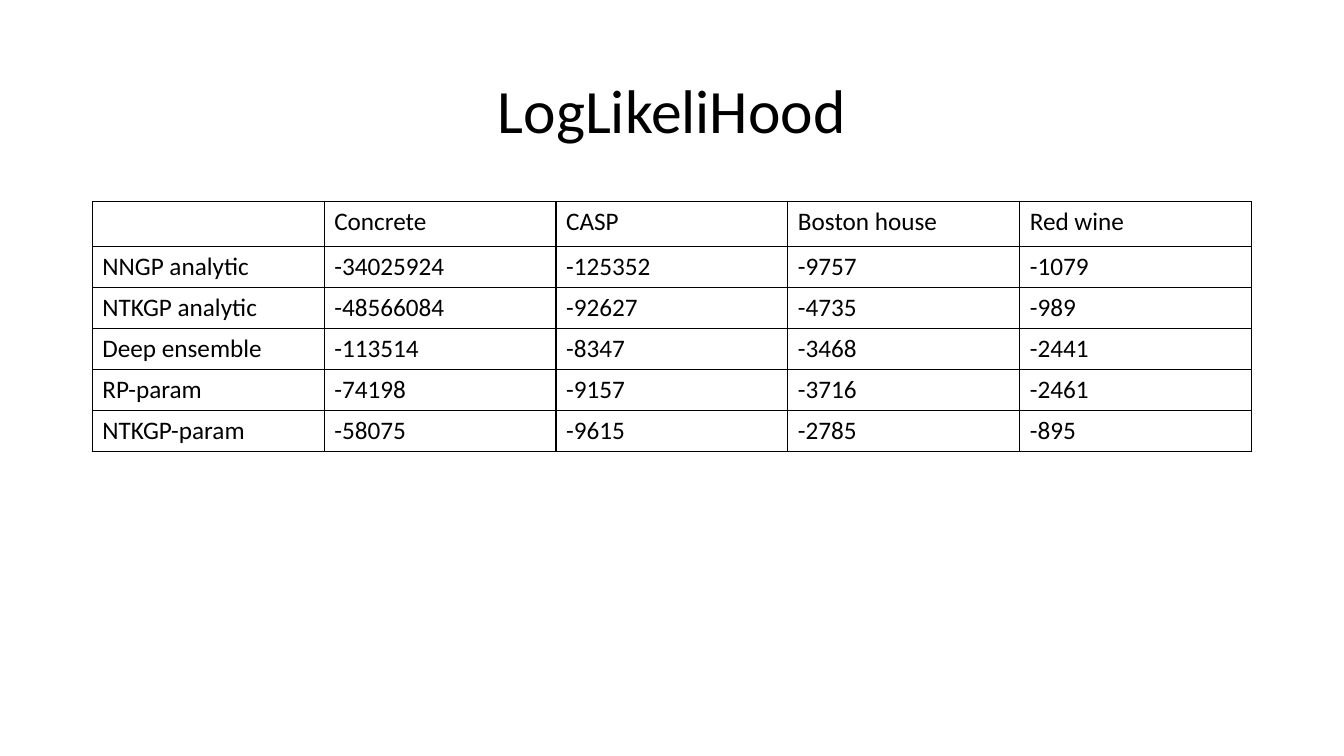
"""Build a slide with a table of log likelihoods by method and data set."""
from lxml.etree import SubElement
from pptx import Presentation
from pptx.dml.color import RGBColor
from pptx.enum.text import MSO_ANCHOR, PP_ALIGN
from pptx.oxml.ns import qn
from pptx.util import Pt

HEADING = "LogLikeliHood"
SCORES = [
    ("", "Concrete", "CASP", "Boston house", "Red wine"),
    ("NNGP analytic", "-34025924", "-125352", "-9757", "-1079"),
    ("NTKGP analytic", "-48566084", "-92627", "-4735", "-989"),
    ("Deep ensemble", "-113514", "-8347", "-3468", "-2441"),
    ("RP-param", "-74198", "-9157", "-3716", "-2461"),
    ("NTKGP-param", "-58075", "-9615", "-2785", "-895"),
]

FONT = "Calibri"
BLACK = RGBColor(0, 0, 0)
WHITE = RGBColor(255, 255, 255)
LEFT, WIDTH = 66, 828
HEADING_TOP, HEADING_HEIGHT = 28.75, 104.4
SCORES_TOP, HEADER_HEIGHT, ROW_HEIGHT = 144, 32.2, 29.3


def style_text(paragraph, size):
    for run in paragraph.runs:
        run.font.name = FONT
        run.font.size = Pt(size)
        run.font.color.rgb = BLACK


def add_borders(cell):
    properties = cell._tc.get_or_add_tcPr()
    for side in ("a:lnL", "a:lnR", "a:lnT", "a:lnB"):
        border = SubElement(properties, qn(side), w=str(Pt(1)))
        fill = SubElement(border, qn("a:solidFill"))
        SubElement(fill, qn("a:srgbClr"), val=str(BLACK))


def add_heading(slide):
    heading = slide.shapes.add_textbox(
        Pt(LEFT), Pt(HEADING_TOP), Pt(WIDTH), Pt(HEADING_HEIGHT))
    frame = heading.text_frame
    frame.word_wrap = True
    frame.vertical_anchor = MSO_ANCHOR.MIDDLE
    frame.text = HEADING
    paragraph = frame.paragraphs[0]
    paragraph.alignment = PP_ALIGN.CENTER
    paragraph.line_spacing = 0.9
    style_text(paragraph, 44)


def add_scores(slide):
    heights = [HEADER_HEIGHT] + [ROW_HEIGHT] * (len(SCORES) - 1)
    columns = len(SCORES[0])
    table = slide.shapes.add_table(
        len(SCORES), columns, Pt(LEFT), Pt(SCORES_TOP),
        Pt(WIDTH), Pt(sum(heights))).table
    table.first_row = False
    table.horz_banding = False
    for column in table.columns:
        column.width = Pt(WIDTH / columns)
    for row, height, values in zip(table.rows, heights, SCORES):
        row.height = Pt(height)
        for cell, value in zip(row.cells, values):
            add_borders(cell)
            cell.fill.solid()
            cell.fill.fore_color.rgb = WHITE
            cell.text_frame.text = value
            style_text(cell.text_frame.paragraphs[0], 18)


def main():
    presentation = Presentation()
    presentation.slide_width = Pt(960)
    presentation.slide_height = Pt(540)
    slide = presentation.slides.add_slide(presentation.slide_layouts[6])
    add_heading(slide)
    add_scores(slide)
    presentation.save("out.pptx")


if __name__ == "__main__":
    main()
